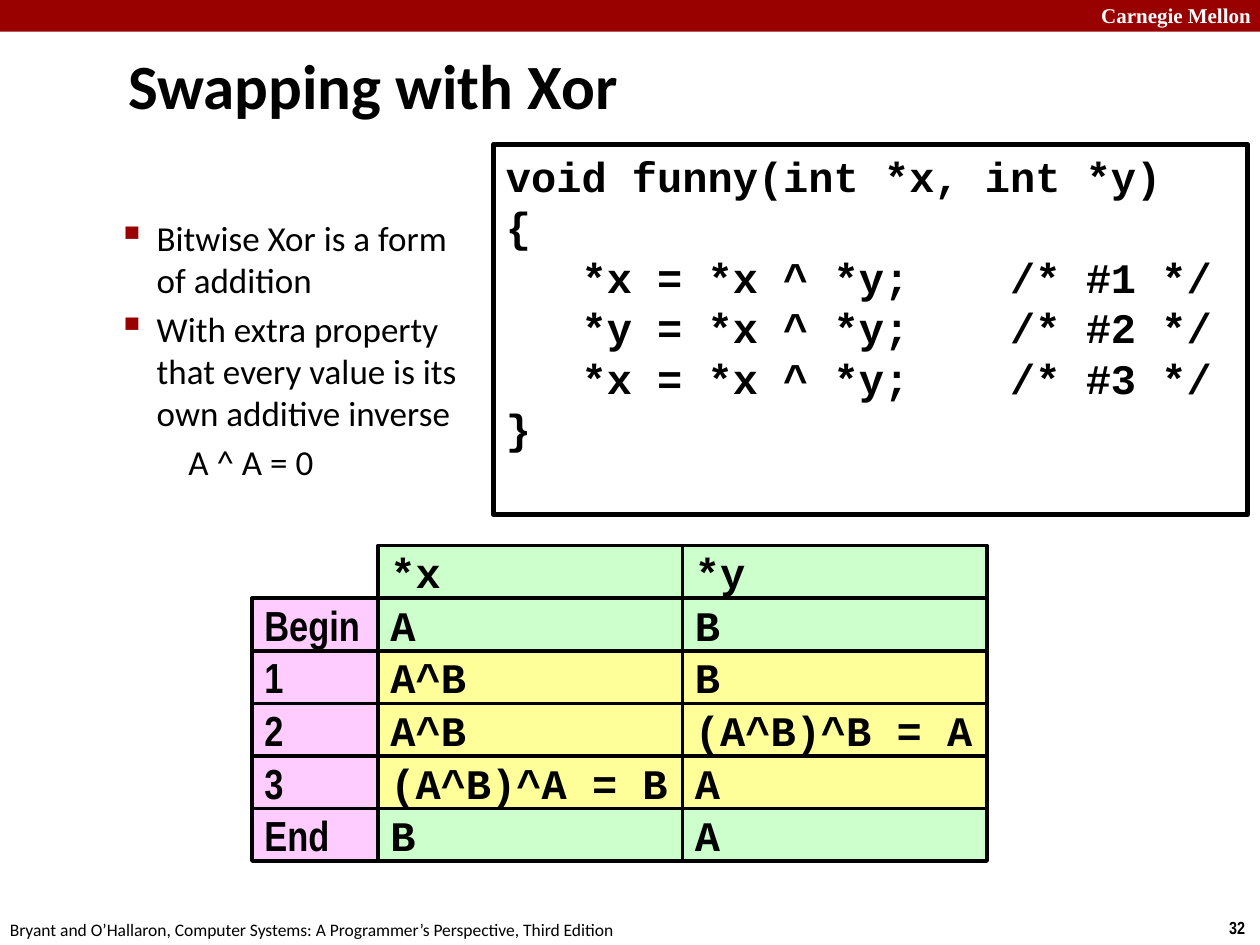
import pptx
import pptx.dml.color
import pptx.enum.shapes
import pptx.enum.text
import pptx.util
from lxml import etree

Cm = pptx.util.Cm
Pt = pptx.util.Pt
RGBColor = pptx.dml.color.RGBColor
Anchor = pptx.enum.text.MSO_ANCHOR
AutoSize = pptx.enum.text.MSO_AUTO_SIZE
RECTANGLE = pptx.enum.shapes.MSO_SHAPE.RECTANGLE

CRIMSON = RGBColor(0x99, 0x00, 0x00)
BLACK = RGBColor(0x00, 0x00, 0x00)
WHITE = RGBColor(0xFF, 0xFF, 0xFF)
GREEN = RGBColor(0xCC, 0xFF, 0xCC)
YELLOW = RGBColor(0xFF, 0xFF, 0x99)
PINK = RGBColor(0xFF, 0xCC, 0xFF)

SANS, NARROW, MONO, SERIF = "Calibri", "Arial Narrow", "Courier New", "Times New Roman"
DRAWING_NS = "http://schemas.openxmlformats.org/drawingml/2006/main"

CODE = """void funny(int *x, int *y)
{
   *x = *x ^ *y;    /* #1 */
   *y = *x ^ *y;    /* #2 */
   *x = *x ^ *y;    /* #3 */
}"""
BULLETS = [
    "Bitwise Xor is a form of addition",
    "With extra property that every value is its own additive inverse",
]
STATES = [
    ("", "*x", "*y", GREEN),
    ("Begin", "A", "B", GREEN),
    ("1", "A^B", "B", YELLOW),
    ("2", "A^B", "(A^B)^B = A", YELLOW),
    ("3", "(A^B)^A = B", "A", YELLOW),
    ("End", "B", "A", GREEN),
]


def set_font(para, name, size, bold=False, color=BLACK):
    para.font.name = name
    para.font.size = Pt(size)
    para.font.bold = bold
    para.font.color.rgb = color


def set_indent(para, margin, first_line):
    properties = para._p.get_or_add_pPr()
    properties.set("marL", str(Cm(margin)))
    properties.set("indent", str(Cm(first_line)))


def add_bullet(para):
    properties = para._p.get_or_add_pPr()
    color = etree.SubElement(properties, f"{{{DRAWING_NS}}}buClr")
    etree.SubElement(color, f"{{{DRAWING_NS}}}srgbClr", val=str(CRIMSON))
    etree.SubElement(properties, f"{{{DRAWING_NS}}}buSzPct", val="110000")
    etree.SubElement(properties, f"{{{DRAWING_NS}}}buChar", char="▪")


def add_rectangle(page, left, top, width, height, fill=None, line_width=None):
    box = page.shapes.add_shape(RECTANGLE, Cm(left), Cm(top), Cm(width), Cm(height))
    box.shadow.inherit = False
    if fill is None:
        box.fill.background()
    else:
        box.fill.solid()
        box.fill.fore_color.rgb = fill
    if line_width is None:
        box.line.fill.background()
    else:
        box.line.color.rgb = BLACK
        box.line.width = Pt(line_width)
    return box


def add_label(page, left, top, width, height, text, font, size, bold=False, color=BLACK):
    frame = page.shapes.add_textbox(Cm(left), Cm(top), Cm(width), Cm(height)).text_frame
    frame.word_wrap = False
    frame.auto_size = AutoSize.SHAPE_TO_FIT_TEXT
    frame.text = text
    set_font(frame.paragraphs[0], font, size, bold, color)


def add_page_frame(page, width, height):
    add_rectangle(page, 0, 0, width, 0.64, CRIMSON)
    add_label(page, width - 3.45, -0.08, 3.63, 0.77, "Carnegie Mellon", SERIF, 12, True, WHITE)
    add_label(page, width - 0.87, height - 0.69, 0.87, 0.68, "32", NARROW, 10, True)
    add_label(page, -0.05, height - 0.64, 12.9, 0.68,
              "Bryant and O’Hallaron, Computer Systems: "
              "A Programmer’s Perspective, Third Edition", SANS, 10)


def place_title(page, left, top, width, height):
    title = page.shapes.title
    title.left, title.top, title.width, title.height = map(Cm, (left, top, width, height))
    frame = title.text_frame
    frame.text = "Swapping with Xor"
    frame.auto_size = AutoSize.NONE
    frame.vertical_anchor = Anchor.MIDDLE
    para = frame.paragraphs[0]
    para.alignment = pptx.enum.text.PP_ALIGN.LEFT
    set_font(para, SANS, 36, True)


def add_code(page, left, top, width, height):
    frame = add_rectangle(page, left, top, width, height, line_width=3).text_frame
    frame.vertical_anchor = Anchor.TOP
    for index, line in enumerate(CODE.splitlines()):
        para = frame.add_paragraph() if index else frame.paragraphs[0]
        para.text = line
        para.alignment = pptx.enum.text.PP_ALIGN.LEFT
        para.line_spacing = Pt(28.8)
        set_indent(para, 1.06, -1.06)
        set_font(para, MONO, 24, True)


def add_bullets(page, left, top, width, height):
    frame = page.shapes.add_textbox(Cm(left), Cm(top), Cm(width), Cm(height)).text_frame
    frame.word_wrap = True
    for index, text in enumerate(BULLETS + ["A ^ A = 0"]):
        para = frame.add_paragraph() if index else frame.paragraphs[0]
        para.text = text
        if index:
            para.space_before = Pt(4)
        if index < len(BULLETS):
            set_indent(para, 2.06, -0.79)
            add_bullet(para)
        else:
            set_indent(para, 2.7, 0)
        set_font(para, SANS, 20)


def add_cell(page, left, top, width, height, text, font, fill):
    frame = add_rectangle(page, left, top, width, height, fill, 2).text_frame
    frame.word_wrap = False
    frame.vertical_anchor = Anchor.MIDDLE
    frame.text = text
    para = frame.paragraphs[0]
    para.alignment = pptx.enum.text.PP_ALIGN.LEFT
    para.line_spacing = Pt(28.8)
    set_font(para, font, 24, True)


def add_state_grid(page, left, top, width, height):
    """Draw the values of *x and *y after each step, one row a step."""
    step_width = 2.54
    value_width = (width - step_width) / 2
    row_height = height / len(STATES)
    for row, (step, x_value, y_value, fill) in enumerate(STATES):
        row_top = top + row * row_height
        if step:
            add_cell(page, left, row_top, step_width, row_height, step, NARROW, PINK)
        for column, value in enumerate((x_value, y_value)):
            value_left = left + step_width + column * value_width
            add_cell(page, value_left, row_top, value_width, row_height, value, MONO, fill)


def main():
    deck = pptx.Presentation()
    deck.slide_width, deck.slide_height = Cm(25.4), Cm(19.05)
    page = deck.slides.add_slide(deck.slide_layouts[5])
    add_page_frame(page, 25.4, 19.05)
    place_title(page, 2.33, 0.9, 16.33, 1.6)
    add_code(page, 9.95, 2.91, 15.2, 7.47)
    add_bullets(page, 0.85, 4.23, 8.69, 5.5)
    add_state_grid(page, 5.08, 11, 14.82, 6.36)
    deck.save("out.pptx")


if __name__ == "__main__":
    main()
